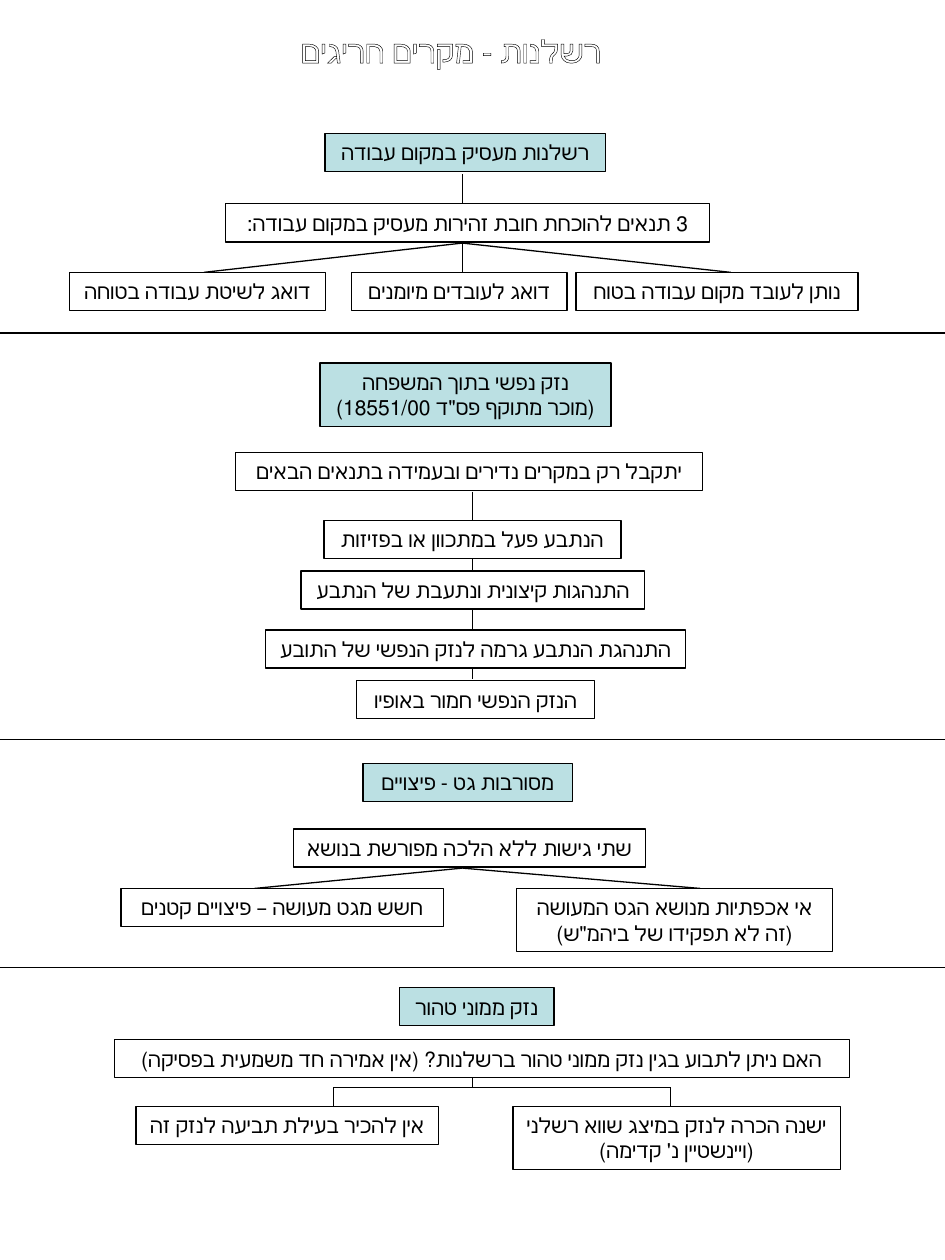
from lxml import etree
from pptx import Presentation
from pptx.dml.color import RGBColor
from pptx.enum.shapes import MSO_CONNECTOR, MSO_SHAPE
from pptx.enum.text import MSO_ANCHOR, MSO_AUTO_SIZE, PP_ALIGN
from pptx.oxml.ns import qn
from pptx.util import Cm, Pt

RECT = MSO_SHAPE.RECTANGLE
LINE = MSO_CONNECTOR.STRAIGHT
CENTER = PP_ALIGN.CENTER
TOP, MIDDLE = MSO_ANCHOR.TOP, MSO_ANCHOR.MIDDLE
FIXED = MSO_AUTO_SIZE.NONE

BLACK, WHITE, BLUE = "000000", "FFFFFF", "BBE0E3"
WIDTH, HEIGHT = 19.05, 25.4
ONE_LINE, NEXT_LINE = 0.77, 0.51
MARGIN = 0.05

TITLE = "רשלנות - מקרים חריגים"

# Top of the row, then its boxes: left, width, fill, text
ROWS = [
    (2.69, [(6.55, 5.66, BLUE, "רשלנות מעסיק במקום עבודה")]),
    (4.11, [(4.55, 9.75, WHITE, "3 תנאים להוכחת חובת זהירות מעסיק במקום עבודה:")]),
    (5.49, [(1.4, 5.16, WHITE, "דואג לשיטת עבודה בטוחה"),
            (7.09, 4.34, None, "דואג לעובדים מיומנים"),
            (11.61, 5.69, WHITE, "נותן לעובד מקום עבודה בטוח")]),
    (7.32, [(6.45, 5.87, BLUE, "נזק נפשי בתוך המשפחה\n(מוכר מתוקף פס\"ד 18551/00)")]),
    (9.12, [(4.75, 9.42, WHITE, "יתקבל רק במקרים נדירים ובעמידה בתנאים הבאים")]),
    (10.49, [(6.53, 5.99, WHITE, "הנתבע פעל במתכוון או בפזיזות")]),
    (11.51, [(6.07, 6.93, WHITE, "התנהגות קיצונית ונתעבת של הנתבע")]),
    (12.7, [(5.36, 8.46, WHITE, "התנהגת הנתבע גרמה לנזק הנפשי של התובע")]),
    (13.72, [(7.19, 4.8, WHITE, "הנזק הנפשי חמור באופיו")]),
    (15.39, [(7.32, 4.22, BLUE, "מסורבות גט - פיצויים")]),
    (16.71, [(5.92, 7.09, WHITE, "שתי גישות ללא הלכה מפורשת בנושא")]),
    (17.91, [(2.44, 6.5, WHITE, "חשש מגט מעושה – פיצויים קטנים"),
             (10.41, 6.38, WHITE, "אי אכפתיות מנושא הגט המעושה\n(זה לא תפקידו של ביהמ\"ש)")]),
    (19.91, [(8.05, 3.12, BLUE, "נזק ממוני טהור")]),
    (20.96, [(2.31, 14.81, None,
              "האם ניתן לתבוע בגין נזק ממוני טהור ברשלנות? (אין אמירה חד משמעית בפסיקה)")]),
    (22.3, [(2.74, 6.1, WHITE, "אין להכיר בעילת תביעה לנזק זה"),
            (10.34, 6.6, WHITE, "ישנה הכרה לנזק במיצג שווא רשלני\n(ויינשטיין נ' קדימה)")]),
]

RULES = [6.71, 14.91, 19.51]
STEMS = [(9.32, 3.51, 5.49), (9.53, 9.91, 13.69), (9.53, 21.72, 21.92)]
# Start x and y, end y, end x of each branch
FANS = [(9.32, 4.9, 5.49, [4.11, 14.73]), (9.32, 17.5, 17.91, [5.13, 14.12])]
FORK_TOP, FORK_END, FORK_XS = 21.92, 22.3, [6.73, 13.51]


def color(code):
    return RGBColor.from_string(code)


def style(frame, size, font, code, anchor):
    frame.word_wrap = True
    frame.auto_size = FIXED
    frame.vertical_anchor = anchor
    for par in frame.paragraphs:
        par.alignment = CENTER
        for run in par.runs:
            run.font.size = Pt(size)
            run.font.name = font
            run.font.color.rgb = color(code)


def add_title(slide):
    title = slide.shapes.title
    title.left, title.top = Cm(2.51), Cm(0.51)
    title.width, title.height = Cm(13.16), Cm(1.8)
    title.text_frame.text = TITLE
    style(title.text_frame, 18, "Times New Roman", WHITE, TOP)
    for run in title.text_frame.paragraphs[0].runs:
        edge = etree.Element(qn("a:ln"), w=str(Pt(0.75)))
        fill = etree.SubElement(edge, qn("a:solidFill"))
        etree.SubElement(fill, qn("a:srgbClr"), val=BLACK)
        run.font._element.insert(0, edge)


def add_line(slide, x1, y1, x2, y2):
    line = slide.shapes.add_connector(LINE, Cm(x1), Cm(y1), Cm(x2), Cm(y2))
    line.line.color.rgb = color(BLACK)
    line.line.width = Pt(0.75)
    etree.SubElement(line._element.spPr, qn("a:effectLst"))


def add_box(slide, left, top, width, fill, text):
    height = ONE_LINE + NEXT_LINE * text.count("\n")
    box = slide.shapes.add_shape(RECT, Cm(left), Cm(top), Cm(width), Cm(height))
    box.shadow.inherit = False
    if fill:
        box.fill.solid()
        box.fill.fore_color.rgb = color(fill)
    else:
        box.fill.background()
    box.line.color.rgb = color(BLACK)
    box.line.width = Pt(0.75)
    frame = box.text_frame
    frame.text = text
    frame.margin_left = frame.margin_right = Cm(MARGIN)
    style(frame, 12, "Arial", BLACK, MIDDLE)
    for par in frame.paragraphs:
        par._p.get_or_add_pPr().set("rtl", "1")


def main():
    deck = Presentation()
    deck.slide_width, deck.slide_height = Cm(WIDTH), Cm(HEIGHT)
    slide = deck.slides.add_slide(deck.slide_layouts[5])
    add_title(slide)
    for y in RULES:
        add_line(slide, 0, y, WIDTH, y)
    for x, top, end in STEMS:
        add_line(slide, x, top, x, end)
    for x, top, end, tips in FANS:
        for tip in tips:
            add_line(slide, x, top, tip, end)
    add_line(slide, FORK_XS[0], FORK_TOP, FORK_XS[1], FORK_TOP)
    for x in FORK_XS:
        add_line(slide, x, FORK_TOP, x, FORK_END)
    for top, boxes in ROWS:
        for left, width, fill, text in boxes:
            add_box(slide, left, top, width, fill, text)
    deck.save("out.pptx")


if __name__ == "__main__":
    main()
